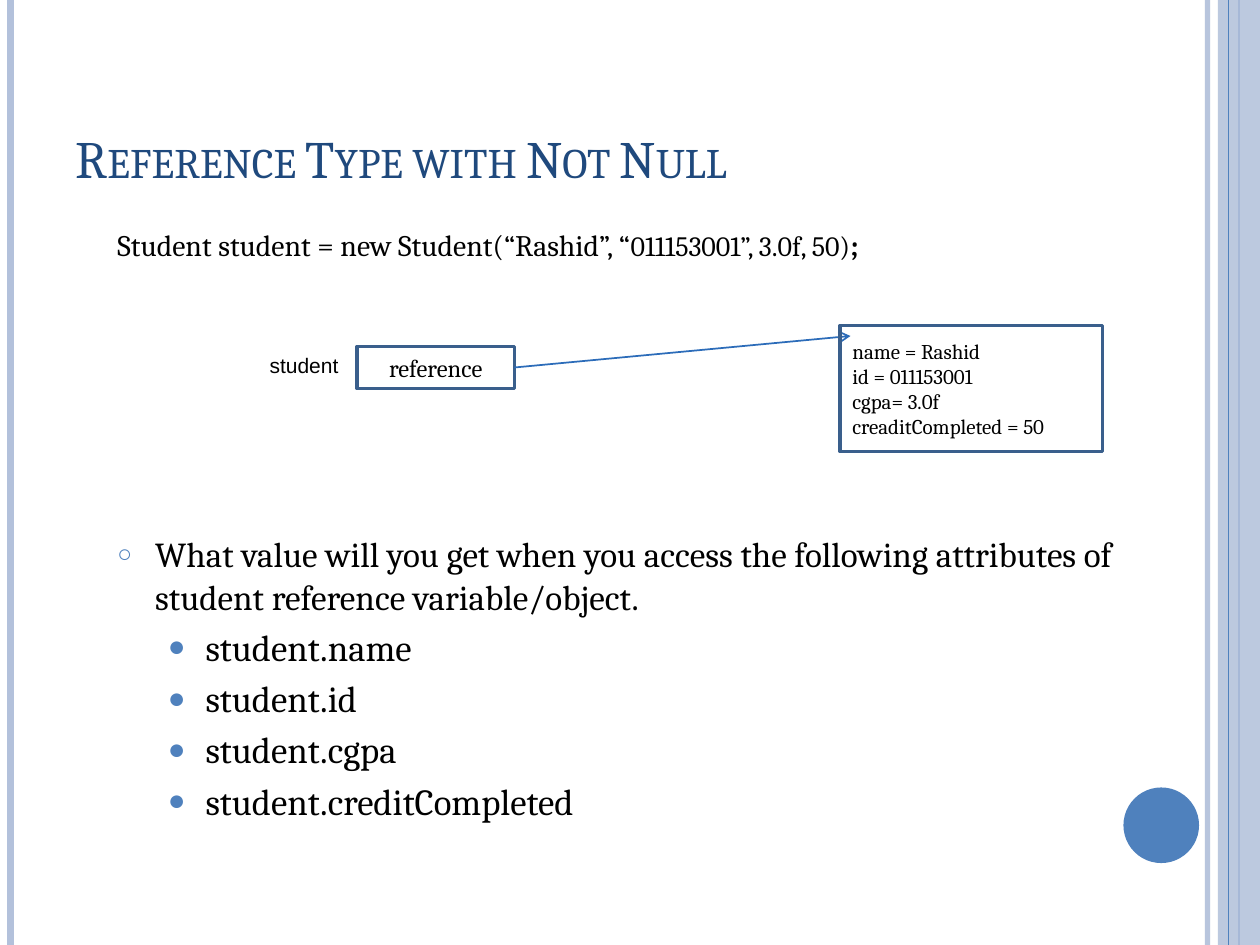
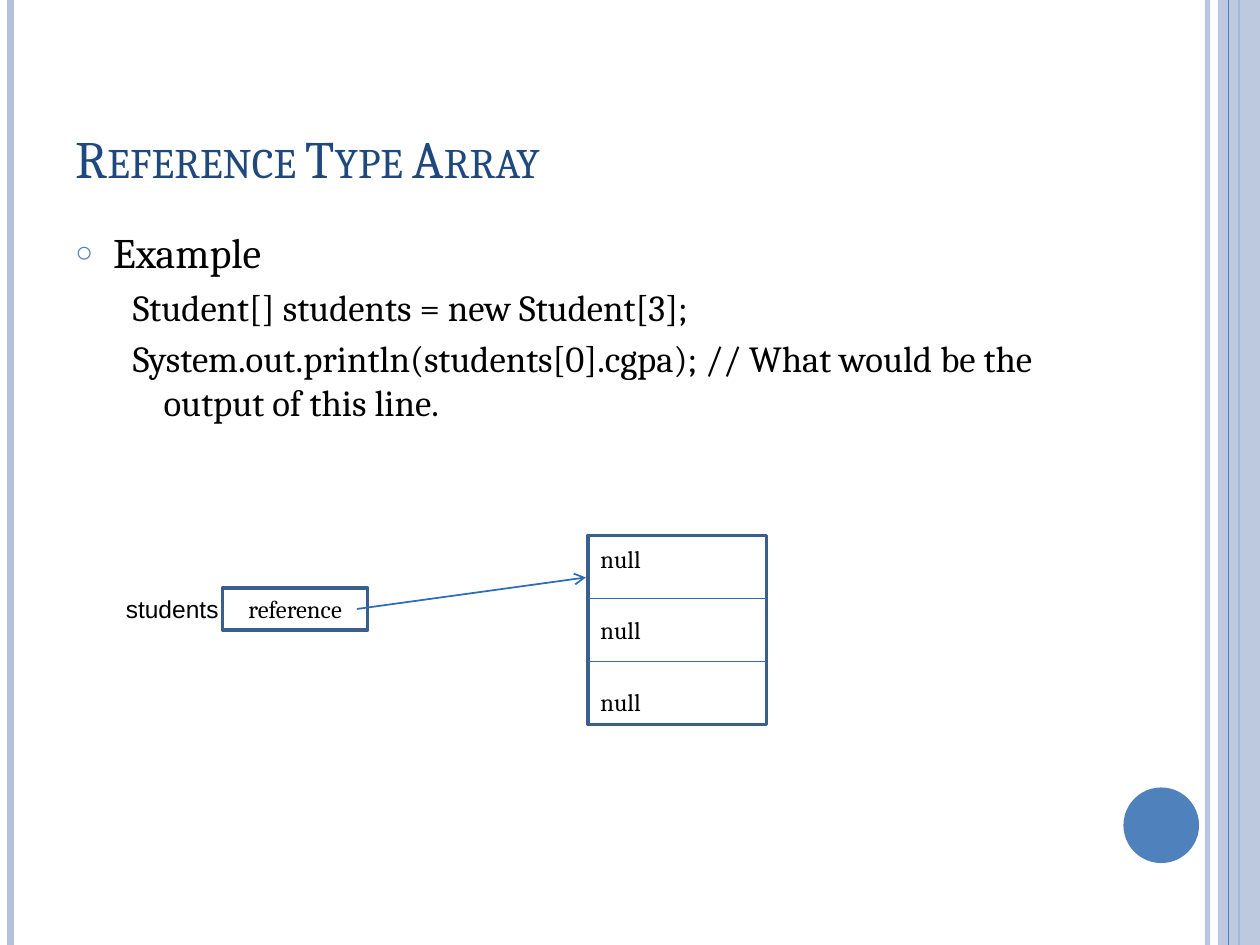
from lxml.etree import SubElement
from pptx import Presentation
from pptx.dml.color import RGBColor
from pptx.enum.shapes import MSO_CONNECTOR, MSO_SHAPE
from pptx.enum.text import MSO_ANCHOR, PP_ALIGN
from pptx.oxml.ns import qn
from pptx.util import Pt

COLORS = {
    "black": "000000",
    "title": "1F497D",
    "accent": "4F81BD",
    "band": "B3C1DB",
    "frame": "3A5F8C",
    "arrow": "2C6CB9",
}
WIDE, HIGH = 720, 540
TITLE = (36, 21.6, 588.24, 90)
TOP, MID, BASE = MSO_ANCHOR.TOP, MSO_ANCHOR.MIDDLE, MSO_ANCHOR.BOTTOM

# Text styles: font size, then only what differs from plain black Cambria
STYLES = {
    "title": {"size": 30, "color": "title", "caps": "small"},
    "code": {"size": 17},
    "ask": {"size": 20, "left": 21.6, "hang": -21.6, "bullet": ("○", 70)},
    "head": {"size": 24, "left": 21.6, "hang": -21.6, "bullet": ("○", 70)},
    "item": {"size": 21, "left": 50.4, "hang": -21.6, "bullet": ("●", 80), "before": 4.2},
    "line": {"size": 21, "left": 50.4, "hang": -17.6, "before": 4.2},
    "ref": {"size": 14, "align": PP_ALIGN.CENTER},
    "field": {"size": 12},
    "cell": {"size": 14, "before": 24},
    "name": {"size": 12, "font": "Arial"},
    "names": {"size": 14, "font": "Arial"},
}


def write(slide, at, rows, anchor=TOP, framed=False):
    """Add a text box or framed rectangle; a row is a style and its runs."""
    place = [Pt(v) for v in at]
    if framed:
        shape = slide.shapes.add_shape(MSO_SHAPE.RECTANGLE, *place)
        shape.shadow.inherit = False
        shape.fill.background()
        shape.line.color.rgb = RGBColor.from_string(COLORS["frame"])
        shape.line.width = Pt(2)
    else:
        shape = slide.shapes.add_textbox(*place)
    frame = shape.text_frame
    frame.word_wrap = True
    frame.vertical_anchor = anchor
    for i, (key, *runs) in enumerate(rows):
        style = STYLES[key]
        para = frame.add_paragraph() if i else frame.paragraphs[0]
        props = para._p.get_or_add_pPr()
        props.set("marL", str(Pt(style.get("left", 0))))
        props.set("indent", str(Pt(style.get("hang", 0))))
        if "bullet" in style:
            mark, scale = style["bullet"]
            tint = SubElement(props, qn("a:buClr"))
            SubElement(tint, qn("a:srgbClr"), val=COLORS["accent"])
            SubElement(props, qn("a:buSzPct"), val=str(scale * 1000))
            SubElement(props, qn("a:buFont"), typeface="Arial")
            SubElement(props, qn("a:buChar"), char=mark)
        para.alignment = style.get("align", PP_ALIGN.LEFT)
        if i:
            para.space_before = Pt(style.get("before", 0))
        for part in runs:
            words, extra = part if isinstance(part, tuple) else (part, {})
            run = para.add_run()
            run.text = words
            look = {"name": style.get("font", "Cambria"), "size": Pt(style["size"]), **extra}
            for attr, value in look.items():
                setattr(run.font, attr, value)
            run.font.color.rgb = RGBColor.from_string(COLORS[style.get("color", "black")])
            if "caps" in style:
                run._r.get_or_add_rPr().set("cap", style["caps"])


def draw(slide, ends, color, width, arrow=False, alpha=100):
    link = slide.shapes.add_connector(MSO_CONNECTOR.STRAIGHT, *[Pt(v) for v in ends])
    link.line.color.rgb = RGBColor.from_string(COLORS[color])
    link.line.width = Pt(width)
    stroke = link.line._get_or_add_ln()
    if alpha < 100:
        tint = stroke.find(".//" + qn("a:srgbClr"))
        SubElement(tint, qn("a:alpha"), val=str(alpha * 1000))
    if arrow:
        SubElement(stroke, qn("a:tailEnd"), type="arrow")
    SubElement(link._element.spPr, qn("a:effectLst"))


deck = Presentation()
deck.slide_width, deck.slide_height = Pt(WIDE), Pt(HIGH)

# What both slides share: edge lines, right band, corner disc and title
pages = []
for title in ("Reference Type with Not Null", "Reference Type Array"):
    page = deck.slides.add_slide(deck.slide_layouts[6])
    for x, color, width, alpha in (
        (690, "band", 3, 93),
        (6, "band", 4.5, 100),
        (708, "accent", 1.5, 100),
    ):
        draw(page, (x, 0, x, HIGH), color, width, alpha=alpha)
    for kind, at, color, alpha in (
        (MSO_SHAPE.RECTANGLE, (696, 0, 24, HIGH), "band", 87),
        (MSO_SHAPE.OVAL, (642, 450, 43.2, 43.2), "accent", 100),
    ):
        shape = page.shapes.add_shape(kind, *[Pt(v) for v in at])
        shape.shadow.inherit = False
        shape.fill.solid()
        shape.fill.fore_color.rgb = RGBColor.from_string(COLORS[color])
        shape.line.fill.background()
        if alpha < 100:
            tint = shape._element.spPr.find(".//" + qn("a:srgbClr"))
            SubElement(tint, qn("a:alpha"), val=str(alpha * 1000))
    draw(page, (702, 0, 702, HIGH), "accent", 0.75)
    write(page, TITLE, [("title", title)], BASE)
    pages.append(page)
single, array = pages

# Slide 1: one reference pointing to one object
write(single, (60, 126, 588, 40), [(
    "code",
    "Student student = new Student(“Rashid”, “",
    ("011153001”, 3.0f, 50)", {"size": Pt(16)}),
    (";", {"bold": True}),
)])
asked = "What value will you get when you access the following attributes of student reference variable/object."
fields = ("name", "id", "cgpa", "creditCompleted")
write(single, (60, 301, 588, 190),
      [("ask", asked)] + [("item", f"student.{field}") for field in fields])
write(single, (204, 198, 90, 24), [("ref", "reference")], MID, True)
write(single, (147, 198, 69, 21.6), [("name", "student")])
draw(single, (294, 210, 486, 192), "arrow", 1, arrow=True)
values = ("name = Rashid", "id = 011153001", "cgpa= 3.0f", "creaditCompleted = 50")
write(single, (480, 186, 150, 72), [("field", value) for value in values], MID, True)

# Slide 2: a reference pointing to an array of three empty cells
write(array, (36, 126, 588, 198), [
    ("head", "Example"),
    ("line", "Student[] students = new Student[3];"),
    ("line", "System.out.println(students[0].cgpa); // What would be the output of this line."),
])
write(array, (127.2, 336, 83, 24), [("ref", "reference")], MID, True)
write(array, (64.8, 336, 85.7, 24.5), [("names", "students")])
draw(array, (204, 348, 334.8, 330), "arrow", 1, arrow=True)
left, top, width, cell, count = 336, 306, 102, 36, 3
write(array, (left, top, width, cell * count), [("cell", "null")] * count, MID, True)
for i in range(1, count):
    y = top + i * cell
    draw(array, (left, y, left + width, y), "arrow", 1)

deck.save("out.pptx")
